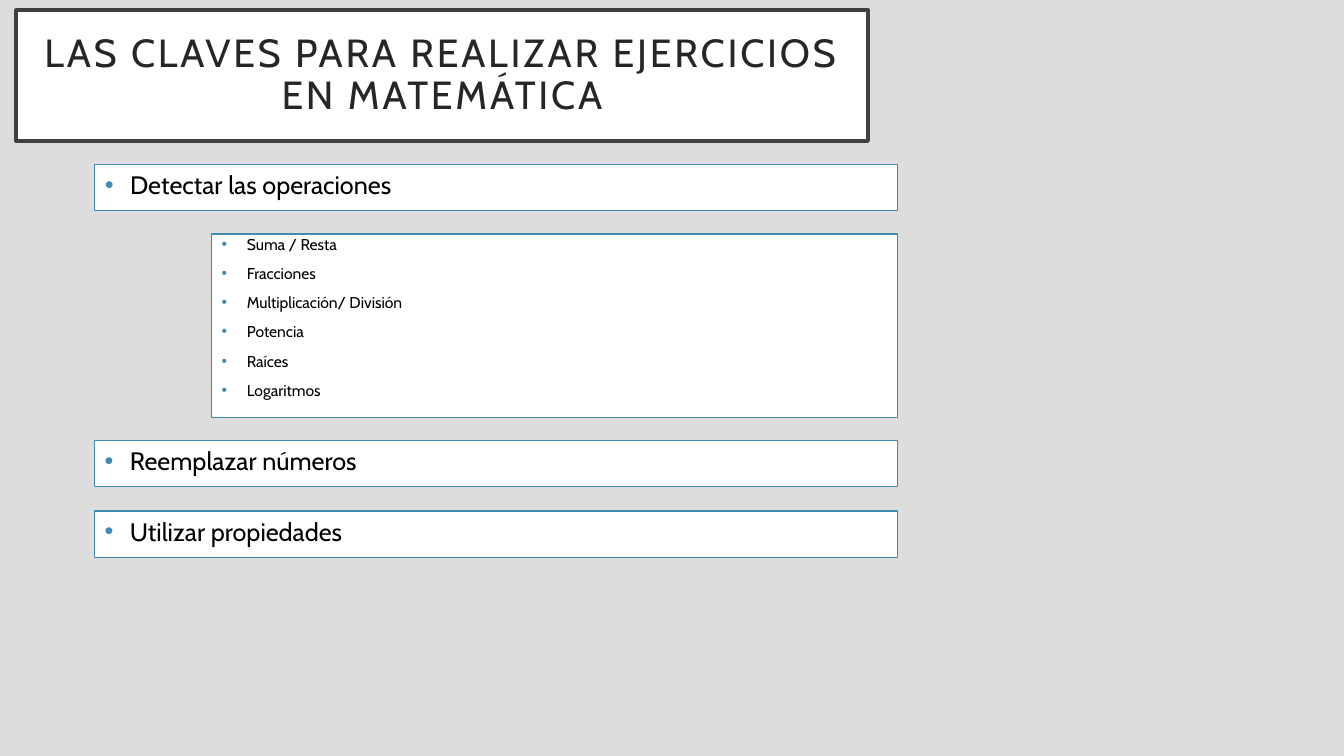
from lxml import etree
from pptx import Presentation, util as u
from pptx.dml.color import RGBColor
from pptx.enum import shapes, text
from pptx.oxml import ns

BACKGROUND = RGBColor(0xDD, 0xDD, 0xDD)
WHITE = RGBColor(0xFF, 0xFF, 0xFF)
BLACK = RGBColor(0x00, 0x00, 0x00)
BLUE = RGBColor(0x41, 0x8A, 0xB3)
TITLE_LINE = RGBColor(0x40, 0x40, 0x40)
TITLE_TEXT = RGBColor(0x26, 0x26, 0x26)

FONT = "Cabin"
TITLE = "LAS CLAVES PARA REALIZAR EJERCICIOS EN MATEMÁTICA"
OPERATIONS = ["Suma / Resta", "Fracciones", "Multiplicación/ División",
              "Potencia", "Raíces", "Logaritmos"]
LEFT, WIDTH, HEIGHT = 0.94, 7.96, 0.46


def format_box(shape, left, top, width, height, line_color, line_width):
    shape.left, shape.top = u.Inches(left), u.Inches(top)
    shape.width, shape.height = u.Inches(width), u.Inches(height)
    shape.fill.solid()
    shape.fill.fore_color.rgb = WHITE
    shape.line.color.rgb = line_color
    shape.line.width = u.Pt(line_width)
    shape.text_frame.word_wrap = True
    shape.text_frame.auto_size = text.MSO_AUTO_SIZE.NONE


def add_run(paragraph, words, size, color):
    run = paragraph.add_run()
    run.text = words
    run.font.name = FONT
    run.font.size = u.Pt(size)
    run.font.color.rgb = color
    return run


def add_bullet(paragraph):
    properties = paragraph._p.get_or_add_pPr()
    properties.set("marL", str(u.Inches(0.25)))
    properties.set("indent", str(u.Inches(-0.25)))
    bullet_color = etree.SubElement(properties, ns.qn("a:buClr"))
    etree.SubElement(bullet_color, ns.qn("a:srgbClr"), val=str(BLUE))
    etree.SubElement(properties, ns.qn("a:buFont"), typeface="Arial")
    etree.SubElement(properties, ns.qn("a:buChar"), char="•")


def fill_list(shape, items, size, line_spacing):
    frame = shape.text_frame
    frame.vertical_anchor = text.MSO_ANCHOR.TOP
    for index, item in enumerate(items):
        paragraph = frame.add_paragraph() if index else frame.paragraphs[0]
        paragraph.alignment = text.PP_ALIGN.LEFT
        paragraph.line_spacing = line_spacing
        paragraph.space_before = u.Pt(10)
        add_bullet(paragraph)
        add_run(paragraph, item, size, BLACK)


def format_list(shape, items, left, top, width, height, size=18, line_spacing=1.0):
    format_box(shape, left, top, width, height, BLUE, 1)
    fill_list(shape, items, size, line_spacing)


def add_rectangle(slide):
    shape = slide.shapes.add_shape(shapes.MSO_SHAPE.RECTANGLE, 0, 0, 0, 0)
    shape.shadow.inherit = False
    return shape


def format_title(shape):
    format_box(shape, 0.16, 0.1, 8.45, 1.3, TITLE_LINE, 2.5)
    frame = shape.text_frame
    frame.vertical_anchor = text.MSO_ANCHOR.MIDDLE
    frame.margin_left = frame.margin_right = u.Inches(0.2)
    frame.margin_top = frame.margin_bottom = u.Inches(0.2)
    paragraph = frame.paragraphs[0]
    paragraph.alignment = text.PP_ALIGN.CENTER
    paragraph.line_spacing = 0.9
    run = add_run(paragraph, TITLE, 28, TITLE_TEXT)
    run._r.get_or_add_rPr().set("spc", "200")


def main():
    presentation = Presentation()
    presentation.slide_width = u.Inches(13.33)
    presentation.slide_height = u.Inches(7.5)
    slide = presentation.slides.add_slide(presentation.slide_layouts[1])
    slide.background.fill.solid()
    slide.background.fill.fore_color.rgb = BACKGROUND

    format_title(slide.shapes.title)
    format_list(slide.placeholders[1], ["Detectar las operaciones"],
                LEFT, 1.63, WIDTH, HEIGHT)
    for item, top in [("Reemplazar números", 4.37), ("Utilizar propiedades", 5.07)]:
        format_list(add_rectangle(slide), [item], LEFT, top, WIDTH, HEIGHT)
    format_list(add_rectangle(slide), OPERATIONS, 2.1, 2.32, 6.8, 1.82,
                size=11.2, line_spacing=0.8)
    presentation.save("out.pptx")


if __name__ == "__main__":
    main()
